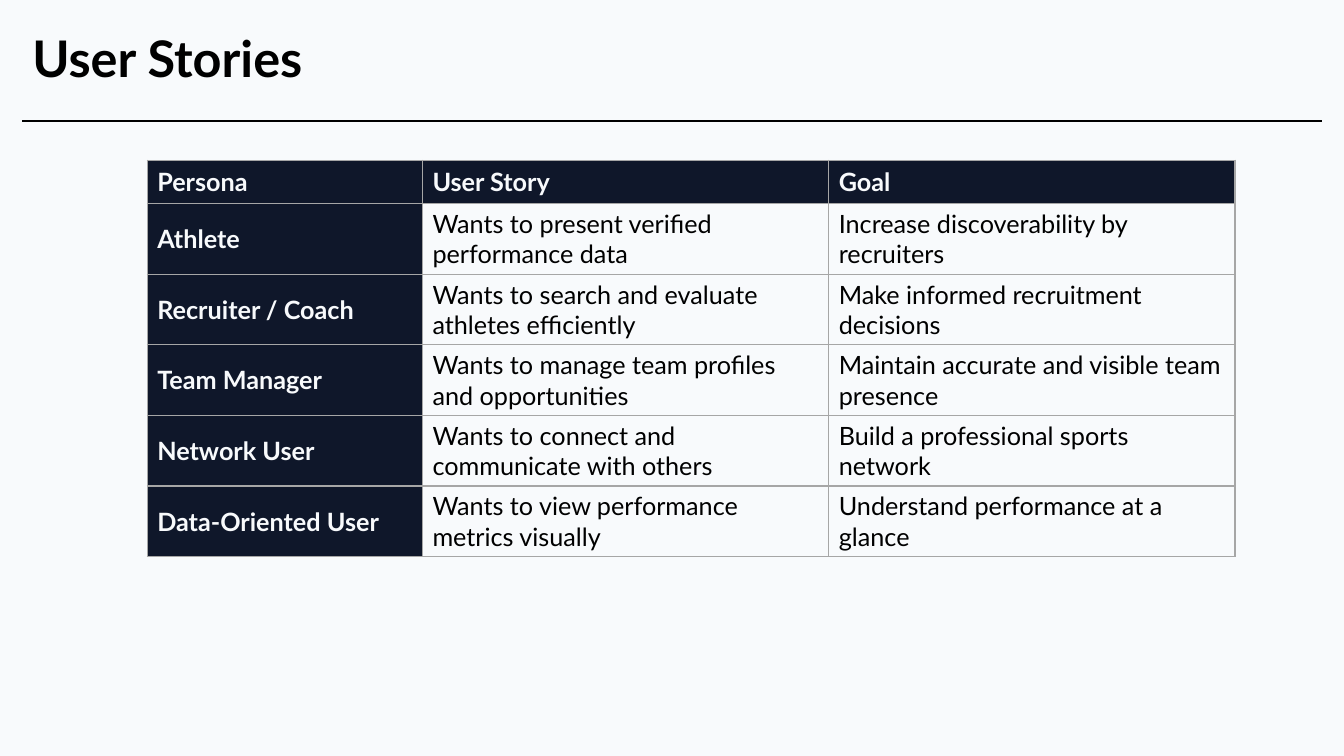
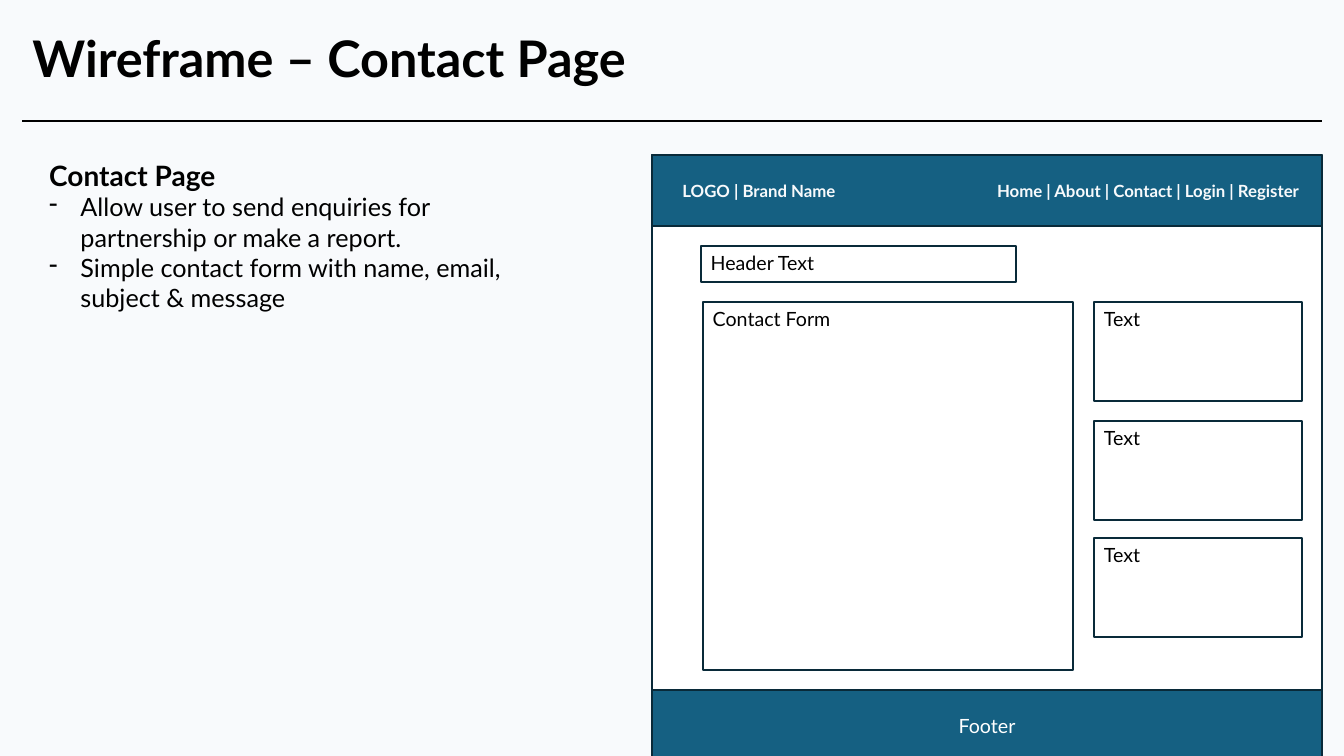
from dataclasses import dataclass

from lxml.etree import SubElement
from pptx import Presentation
from pptx.dml.color import RGBColor
from pptx.enum.shapes import MSO_CONNECTOR as Connector, MSO_SHAPE as Preset
from pptx.enum.text import MSO_ANCHOR as Anchor, PP_ALIGN as Align
from pptx.oxml.ns import qn
from pptx.slide import Slide
from pptx.text.text import TextFrame, _Paragraph as Paragraph
from pptx.util import Inches, Pt

FONT = "Lato"
PAPER, INK, NAVY = "F8FAFC", "000000", "0F172A"
WHITE, TEAL, OUTLINE, GRID = "FFFFFF", "156082", "092A39", "A6A6A6"
LEFT, RIGHT = 0.22, 13.11


@dataclass(frozen=True)
class Block:
    left: float
    top: float
    width: float
    height: float
    text: str = ""
    size: int = 14
    color: str = INK
    bold: bool = False
    fill: str = WHITE
    align: Align = Align.LEFT
    anchor: Anchor = Anchor.TOP

    def bounds(self) -> list[int]:
        return [Inches(value) for value in (self.left, self.top, self.width, self.height)]


STORIES = [
    ("Persona", "User Story", "Goal"),
    ("Athlete", "Wants to present verified performance data",
     "Increase discoverability by recruiters"),
    ("Recruiter / Coach", "Wants to search and evaluate athletes efficiently",
     "Make informed recruitment decisions"),
    ("Team Manager", "Wants to manage team profiles and opportunities",
     "Maintain accurate and visible team presence"),
    ("Network User", "Wants to connect and communicate with others",
     "Build a professional sports network"),
    ("Data-Oriented User", "Wants to view performance metrics visually",
     "Understand performance at a glance"),
]
COLUMN_WIDTHS = (2.73, 4.03, 4.03)
ROW_HEIGHTS = [0.43] + [0.7] * (len(STORIES) - 1)

NOTES_HEADING = "Contact Page"
NOTES = [
    "Allow user to send enquiries for partnership or make a report.",
    "Simple contact form with name, email, subject & message",
]

FRAME_LEFT, FRAME_TOP, FRAME_WIDTH, BAND_HEIGHT = 6.47, 1.54, 6.64, 0.7
PANELS = [
    Block(FRAME_LEFT, FRAME_TOP, FRAME_WIDTH, 5.98),
    Block(FRAME_LEFT, FRAME_TOP, FRAME_WIDTH, BAND_HEIGHT, fill=TEAL),
    Block(6.95, 2.44, 3.13, 0.36, "Header Text"),
    Block(6.97, 3, 3.67, 3.65, "Contact Form"),
    Block(FRAME_LEFT, 6.85, FRAME_WIDTH, BAND_HEIGHT, "Footer", color=WHITE,
          fill=TEAL, align=Align.CENTER, anchor=Anchor.MIDDLE),
    *(Block(10.85, top, 2.06, 0.98, "Text") for top in (3, 4.18, 5.34)),
]
NAVIGATION = [
    Block(6.67, 1.74, 1.74, 0.3, "LOGO | Brand Name", 12, PAPER, True),
    Block(9.79, 1.74, 3.32, 0.3, "Home | About | Contact | Login | Register", 12, PAPER, True),
]


def rgb(color: str) -> RGBColor:
    return RGBColor.from_string(color)


def style(para: Paragraph, size: int, color: str = INK, bold: bool = False) -> None:
    for span in para.runs:
        span.font.name = FONT
        span.font.size = Pt(size)
        span.font.bold = bold
        span.font.color.rgb = rgb(color)


def write(frame: TextFrame, block: Block) -> None:
    frame.text = block.text
    frame.word_wrap = True
    frame.vertical_anchor = block.anchor
    para = frame.paragraphs[0]
    para.alignment = block.align
    style(para, block.size, block.color, block.bold)


def add_page(deck: Presentation, title: str, width: float) -> Slide:
    page = deck.slides.add_slide(deck.slide_layouts[5])
    heading = Block(LEFT, 0.22, width, 0.71, title, 36, bold=True)
    box = page.shapes.title
    box.left, box.top, box.width, box.height = heading.bounds()
    write(box.text_frame, heading)
    rule = page.shapes.add_connector(
        Connector.STRAIGHT, Inches(LEFT), Inches(1.2), Inches(RIGHT), Inches(1.2))
    rule.line.color.rgb = rgb(INK)
    rule.line.width = Pt(1.5)
    SubElement(rule._element.spPr, qn("a:effectLst"))
    return page


def add_label(page: Slide, block: Block) -> None:
    write(page.shapes.add_textbox(*block.bounds()).text_frame, block)


def add_panel(page: Slide, block: Block) -> None:
    box = page.shapes.add_shape(Preset.RECTANGLE, *block.bounds())
    box.shadow.inherit = False
    box.fill.solid()
    box.fill.fore_color.rgb = rgb(block.fill)
    box.line.color.rgb = rgb(OUTLINE)
    box.line.width = Pt(1.5)
    if block.text:
        write(box.text_frame, block)


def add_notes(page: Slide) -> None:
    box = page.shapes.add_textbox(Inches(0.39), Inches(1.52), Inches(5), Inches(1.65))
    frame = box.text_frame
    frame.word_wrap = True
    frame.text = NOTES_HEADING
    style(frame.paragraphs[0], 20, bold=True)
    for note in NOTES:
        para = frame.add_paragraph()
        para.text = note
        style(para, 18)
        properties = para._p.get_or_add_pPr()
        properties.set("marL", str(Inches(0.31)))
        properties.set("indent", str(-Inches(0.31)))
        SubElement(properties, qn("a:buChar"), char="-")


def add_stories(page: Slide) -> None:
    table = page.shapes.add_table(
        len(STORIES), len(COLUMN_WIDTHS), Inches(1.46), Inches(1.59),
        Inches(sum(COLUMN_WIDTHS)), Inches(sum(ROW_HEIGHTS))).table
    table.first_row = table.horz_banding = False
    for column, width in zip(table.columns, COLUMN_WIDTHS):
        column.width = Inches(width)
    for row, height in zip(table.rows, ROW_HEIGHTS):
        row.height = Inches(height)
    for row_index, story in enumerate(STORIES):
        for column_index, text in enumerate(story):
            cell = table.cell(row_index, column_index)
            is_header = row_index == 0 or column_index == 0
            cell.text = text
            cell.vertical_anchor = Anchor.MIDDLE
            style(cell.text_frame.paragraphs[0], 18, PAPER if is_header else INK, is_header)
            properties = cell._tc.get_or_add_tcPr()
            for side in ("lnL", "lnR", "lnT", "lnB"):
                border = SubElement(properties, qn(f"a:{side}"), w=str(Pt(1)))
                SubElement(SubElement(border, qn("a:solidFill")), qn("a:srgbClr"), val=GRID)
            if is_header:
                cell.fill.solid()
                cell.fill.fore_color.rgb = rgb(NAVY)
            else:
                cell.fill.background()


def main() -> None:
    deck = Presentation()
    deck.slide_width, deck.slide_height = Inches(13.33), Inches(7.5)
    background = deck.slide_master.background.fill
    background.solid()
    background.fore_color.rgb = rgb(PAPER)

    add_stories(add_page(deck, "User Stories", 4.32))

    wireframe = add_page(deck, "Wireframe – Contact Page", 6.14)
    add_notes(wireframe)
    for panel in PANELS:
        add_panel(wireframe, panel)
    for label in NAVIGATION:
        add_label(wireframe, label)

    deck.save("out.pptx")


if __name__ == "__main__":
    main()
